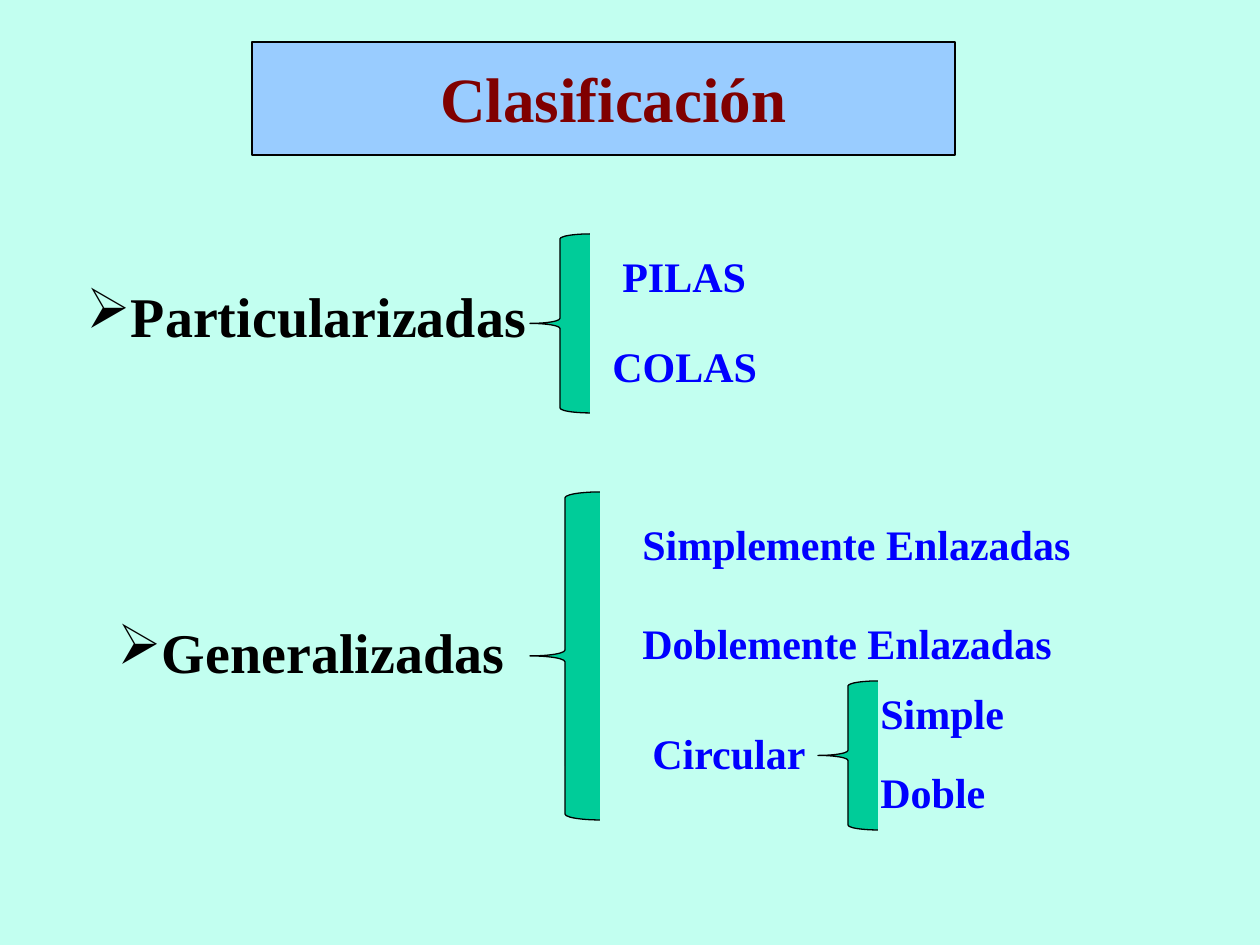
from pptx import Presentation
from pptx.dml.color import RGBColor
from pptx.enum.shapes import MSO_SHAPE as Shape
from pptx.enum.text import MSO_ANCHOR as Anchor, MSO_AUTO_SIZE as AutoSize, PP_ALIGN as Align
from pptx.oxml.ns import qn
from pptx.util import Pt
from lxml.etree import SubElement

PX = 914400 // 126
FONT = "Times New Roman"

TITLE = ("Clasificación", (199, 53, 829, 89))
PANEL = (252, 42, 703, 113)
GROUPS = [
    ("Particularizadas", (74, 275, 469, 81)),
    ("Generalizadas", (105, 611, 416, 81)),
]
KINDS = [
    ("PILAS", (610, 244, 315, 64)),
    ("COLAS", (600, 334, 315, 64)),
    ("Simplemente Enlazadas", (630, 512, 530, 64)),
    ("Doblemente Enlazadas", (630, 611, 530, 64)),
    ("Circular", (640, 721, 228, 64)),
    ("Simple", (868, 681, 248, 64)),
    ("Doble", (868, 760, 248, 64)),
]
BRACES = [(530, 234, 60, 179), (530, 492, 70, 328), (818, 681, 60, 149)]


def color(value):
    return RGBColor.from_string(value)


def emu(place):
    return [length * PX for length in place]


def add_outlined(slide, preset, place, fill):
    shape = slide.shapes.add_shape(preset, *emu(place))
    shape.shadow.inherit = False
    shape.fill.solid()
    shape.fill.fore_color.rgb = color(fill)
    shape.line.color.rgb = color("000000")
    shape.line.width = Pt(0.75)
    return shape


def write(box, text, size, ink, align=Align.LEFT, bullet=None, wrap=True):
    frame = box.text_frame
    frame.text = text
    frame.word_wrap = wrap
    frame.auto_size = AutoSize.SHAPE_TO_FIT_TEXT
    frame.vertical_anchor = Anchor.TOP
    para = frame.paragraphs[0]
    para.alignment = align
    if bullet:
        SubElement(para._p.get_or_add_pPr(), qn("a:buChar"), char=bullet)
    font = para.font
    font.name, font.size, font.bold = FONT, Pt(size), True
    font.color.rgb = color(ink)


def main():
    deck = Presentation()
    deck.slide_width, deck.slide_height = 1260 * PX, 945 * PX
    slide = deck.slides.add_slide(deck.slide_layouts[5])
    slide.background.fill.solid()
    slide.background.fill.fore_color.rgb = color("C2FFF0")

    text, place = TITLE
    title = slide.shapes.title
    title.left, title.top, title.width, title.height = emu(place)
    write(title, text, 36, "800000", align=Align.CENTER)
    panel = add_outlined(slide, Shape.RECTANGLE, PANEL, "99CCFF")
    title._element.addprevious(panel._element)

    for text, place in GROUPS:
        box = slide.shapes.add_textbox(*emu(place))
        write(box, text, 32, "000000", bullet="➢", wrap=False)
    for text, place in KINDS:
        write(slide.shapes.add_textbox(*emu(place)), text, 24, "0000FF")
    for place in BRACES:
        add_outlined(slide, Shape.LEFT_BRACE, place, "00CC99")

    deck.save("out.pptx")


if __name__ == "__main__":
    main()
